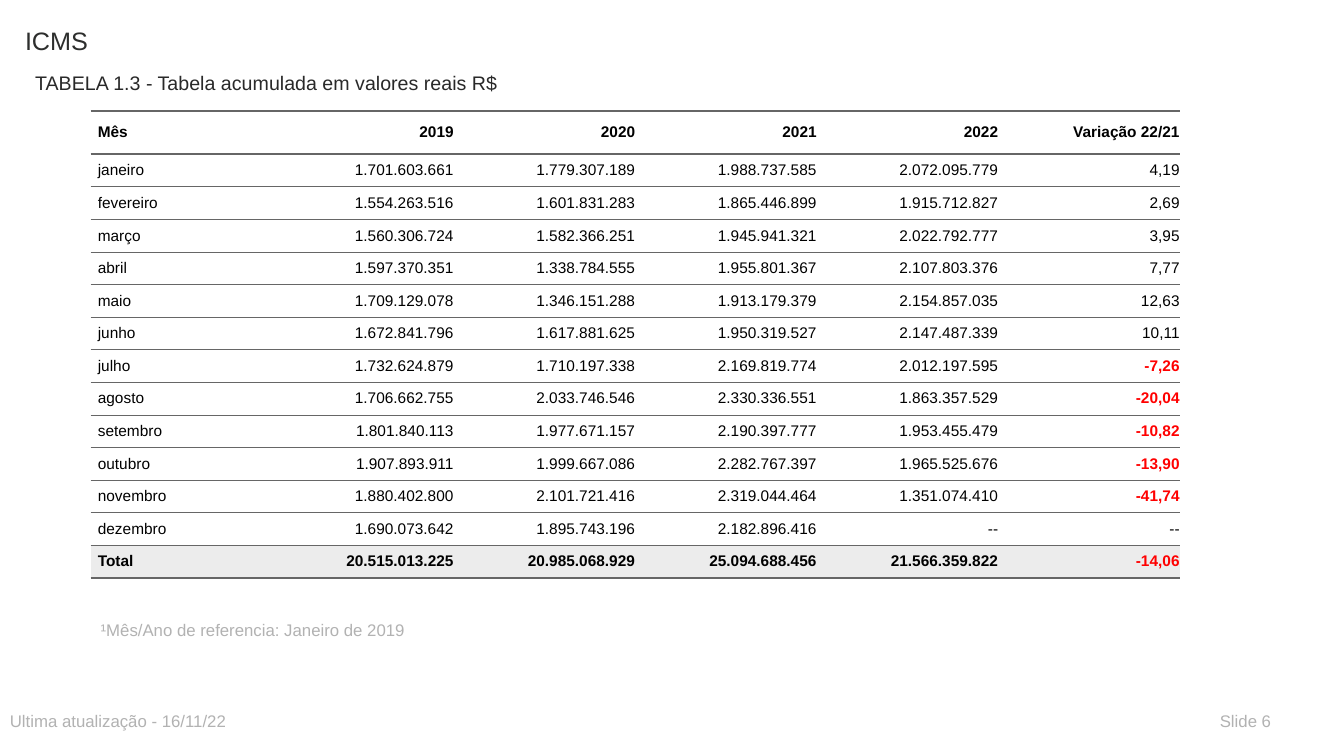
from lxml.etree import SubElement
from pptx import Presentation
from pptx.dml.color import RGBColor
from pptx.enum.text import MSO_ANCHOR as ANCHOR, PP_ALIGN as ALIGN
from pptx.oxml.ns import qn
from pptx.util import Emu, Pt

EMU_PER_PX = 9144
FONT = "Arial"
GRAY, RULE, RED = "B2B2B2", "666666", "FF0000"
NO_STYLE = "{2D5ABB26-0587-4C30-8999-92F81FD0307C}"
COLUMN, HEADER_ROW, BODY_ROW, PAD = 180, 43, 25, 7
THICK, THIN = 2, 0.5

ROWS = [
    ["Mês", "2019", "2020", "2021", "2022", "Variação 22/21"],
    ["janeiro", "1.701.603.661", "1.779.307.189", "1.988.737.585", "2.072.095.779", "4,19"],
    ["fevereiro", "1.554.263.516", "1.601.831.283", "1.865.446.899", "1.915.712.827", "2,69"],
    ["março", "1.560.306.724", "1.582.366.251", "1.945.941.321", "2.022.792.777", "3,95"],
    ["abril", "1.597.370.351", "1.338.784.555", "1.955.801.367", "2.107.803.376", "7,77"],
    ["maio", "1.709.129.078", "1.346.151.288", "1.913.179.379", "2.154.857.035", "12,63"],
    ["junho", "1.672.841.796", "1.617.881.625", "1.950.319.527", "2.147.487.339", "10,11"],
    ["julho", "1.732.624.879", "1.710.197.338", "2.169.819.774", "2.012.197.595", "-7,26"],
    ["agosto", "1.706.662.755", "2.033.746.546", "2.330.336.551", "1.863.357.529", "-20,04"],
    ["setembro", "1.801.840.113", "1.977.671.157", "2.190.397.777", "1.953.455.479", "-10,82"],
    ["outubro", "1.907.893.911", "1.999.667.086", "2.282.767.397", "1.965.525.676", "-13,90"],
    ["novembro", "1.880.402.800", "2.101.721.416", "2.319.044.464", "1.351.074.410", "-41,74"],
    ["dezembro", "1.690.073.642", "1.895.743.196", "2.182.896.416", "--", "--"],
    ["Total", "20.515.013.225", "20.985.068.929", "25.094.688.456", "21.566.359.822", "-14,06"],
]


def px(n):
    return Emu(n * EMU_PER_PX)


def rgb(color):
    return RGBColor.from_string(color)


def add_run(p, text, size, color, bold=False):
    r = p.add_run()
    r.text = text
    r.font.name = FONT
    r.font.size = Pt(size)
    r.font.bold = bold
    r.font.color.rgb = rgb(color)


def add_text(slide, box, text, size, color):
    tf = slide.shapes.add_textbox(*map(px, box)).text_frame
    tf.word_wrap = True
    add_run(tf.paragraphs[0], text, size, color)


def add_border(cell, side, width):
    ln = SubElement(cell._tc.get_or_add_tcPr(), qn(f"a:{side}"), w=str(Pt(width)))
    fill = SubElement(ln, qn("a:solidFill"))
    SubElement(fill, qn("a:srgbClr"), val=RULE)


def fill_cell(cell, text, align, bold, color, fill, top, bottom):
    cell.margin_left = cell.margin_right = 0
    cell.margin_top = cell.margin_bottom = px(PAD)
    cell.vertical_anchor = ANCHOR.MIDDLE
    add_border(cell, "lnT", top)
    add_border(cell, "lnB", bottom)
    cell.fill.solid()
    cell.fill.fore_color.rgb = rgb(fill)
    p = cell.text_frame.paragraphs[0]
    p.alignment = align
    p.space_before = p.space_after = Pt(5)
    p._p.get_or_add_pPr().set("marL", str(px(PAD)))
    add_run(p, text, 11, color, bold)


def add_revenue_table(slide, left, top):
    last = len(ROWS) - 1
    n_cols = len(ROWS[0])
    size = px(COLUMN * n_cols), px(HEADER_ROW + BODY_ROW * last)
    table = slide.shapes.add_table(len(ROWS), n_cols, px(left), px(top), *size).table
    table.first_row = table.horz_banding = False
    table._tbl.tblPr.find(qn("a:tableStyleId")).text = NO_STYLE
    for col in table.columns:
        col.width = px(COLUMN)
    for i, values in enumerate(ROWS):
        table.rows[i].height = px(BODY_ROW if i else HEADER_ROW)
        for j, text in enumerate(values):
            falling = text.startswith("-") and text != "--"
            fill_cell(
                table.cell(i, j), text,
                align=ALIGN.RIGHT if j else ALIGN.LEFT,
                bold=falling or i in (0, last),
                color=RED if falling else "000000",
                fill="ECECEC" if i == last else "FFFFFF",
                top=THICK if i < 2 else THIN,
                bottom=THICK if i in (0, last) else THIN,
            )


def main():
    prs = Presentation()
    prs.slide_width, prs.slide_height = px(1333), px(750)
    slide = prs.slides.add_slide(prs.slide_layouts[6])
    add_text(slide, (15, 20, 800, 59), "ICMS", 18, "2D2E2D")
    add_text(slide, (25, 65, 650, 30),
             "TABELA 1.3 - Tabela acumulada em valores reais R$", 14, "292929")
    add_revenue_table(slide, 90, 110)
    add_text(slide, (90, 610, 650, 30), "¹Mês/Ano de referencia: Janeiro de 2019", 12, GRAY)
    add_text(slide, (0, 700, 650, 30), "Ultima atualização - 16/11/22", 12, GRAY)
    add_text(slide, (1200, 700, 90, 30), "Slide 6", 12, GRAY)
    prs.save("out.pptx")


if __name__ == "__main__":
    main()
